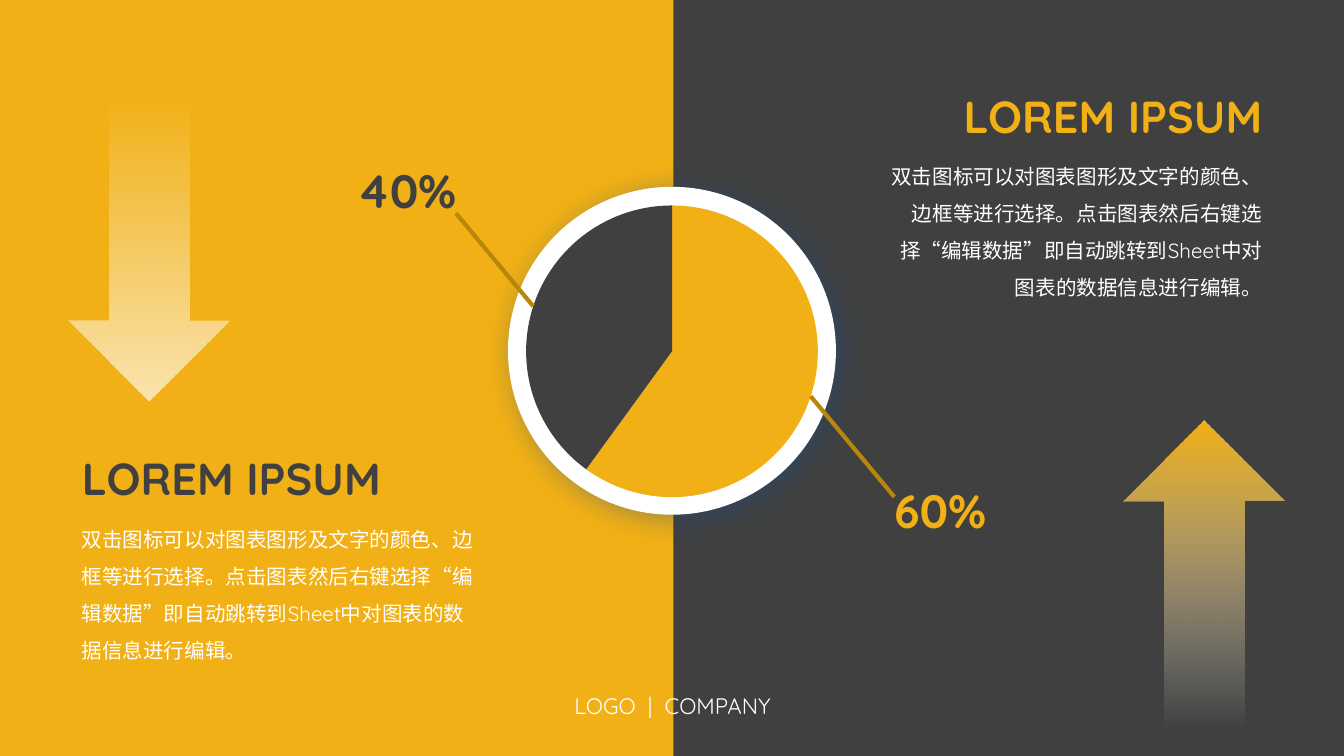
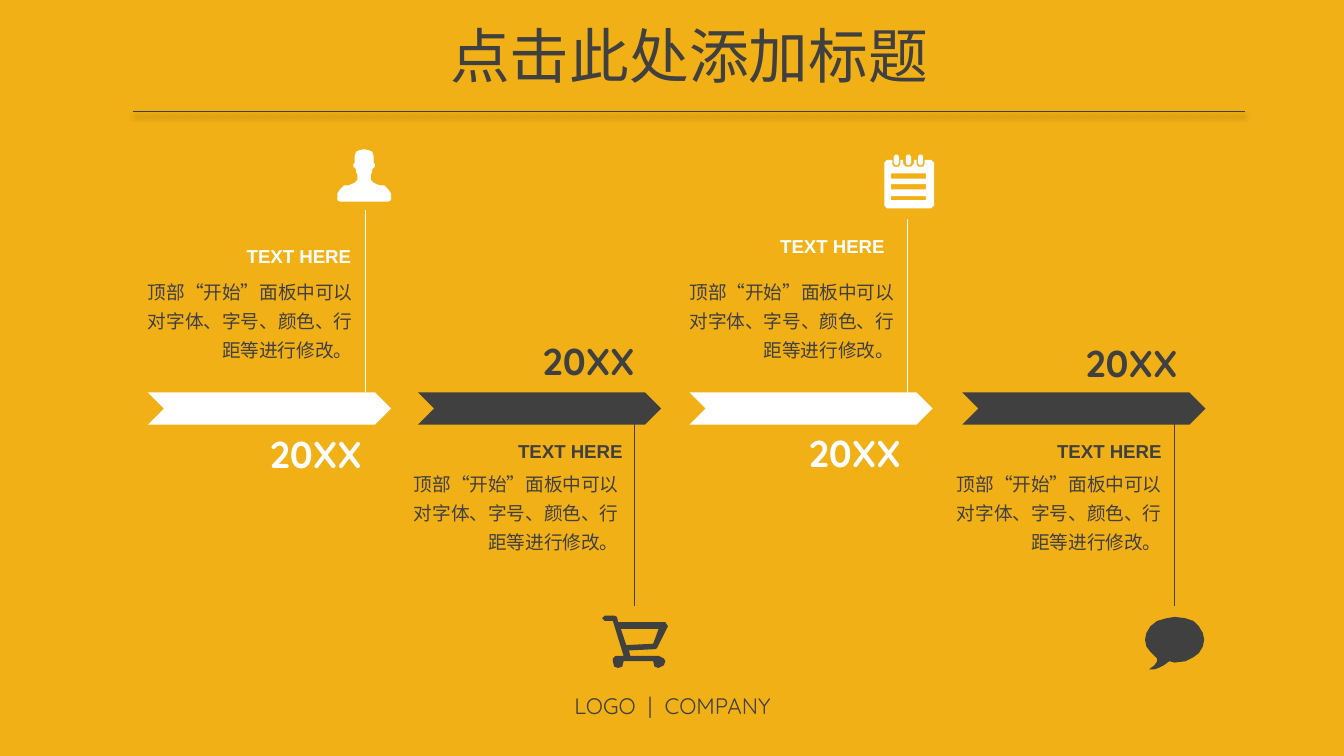
from collections import namedtuple

from pptx import Presentation
from pptx.chart.data import CategoryChartData
from pptx.dml.color import RGBColor
from pptx.enum.chart import XL_CHART_TYPE, XL_LABEL_POSITION
from pptx.enum.shapes import MSO_CONNECTOR, MSO_SHAPE
from pptx.enum.text import MSO_ANCHOR, MSO_AUTO_SIZE, PP_ALIGN
from pptx.oxml import parse_xml
from pptx.oxml.ns import nsdecls
from pptx.util import Inches, Pt

YELLOW, GREY, WHITE = "F1B015", "404040", "FFFFFF"
LEADER = "B8860B"
FONT = "Quicksand"
TITLE_ONLY = 5

CHART_TEXT = "双击图标可以对图表图形及文字的颜色、边框等进行选择。点击图表然后右键选择“编辑数据”即自动跳转到Sheet中对图表的数据信息进行编辑。"
STEP_TEXT = "顶部“开始”面板中可以对字体、字号、颜色、行距等进行修改。"

Shadow = namedtuple("Shadow", "color alpha blur distance angle")
Step = namedtuple(
    "Step", "color left stem_at heading_right heading_top body_at year_at icon icon_at"
)


def rgb(color):
    return RGBColor.from_string(color)


def box(left, top, width, height):
    return [Inches(v) for v in (left, top, width, height)]


def set_effects(shape, shadow=None):
    """Give the shape this shadow, or none; call it after fill and line are set."""
    inner = ""
    if shadow:
        inner = (
            f'<a:outerShdw blurRad="{Pt(shadow.blur)}" dist="{Pt(shadow.distance)}" '
            f'dir="{shadow.angle * 60000}" algn="ctr" rotWithShape="0">'
            f'<a:srgbClr val="{shadow.color}"><a:alpha val="{shadow.alpha * 1000}"/>'
            "</a:srgbClr></a:outerShdw>"
        )
    shape.element.spPr.append(
        parse_xml(f'<a:effectLst {nsdecls("a")}>{inner}</a:effectLst>')
    )


def fill_solid(shape, color, shadow=None):
    shape.fill.solid()
    shape.fill.fore_color.rgb = rgb(color)
    shape.line.fill.background()
    set_effects(shape, shadow)


def add_solid(slide, kind, area, color, shadow=None):
    shape = slide.shapes.add_shape(kind, *box(*area))
    fill_solid(shape, color, shadow)
    return shape


def add_fading_arrow(slide, area, color, alpha, rotation=0):
    """Draw an up arrow that fades from its tip to a clear foot."""
    arrow = slide.shapes.add_shape(MSO_SHAPE.UP_ARROW, *box(*area))
    arrow.rotation = rotation
    arrow.fill.gradient()
    arrow.fill.gradient_angle = 270
    stops = zip(arrow.fill.gradient_stops, (0, 1), (color, WHITE))
    for stop, position, stop_color in stops:
        stop.position = position
        stop.color.rgb = rgb(stop_color)
    for shade, opacity in zip(arrow.element.xpath(".//a:gs/a:srgbClr"), (alpha, 0)):
        shade.append(parse_xml(f'<a:alpha {nsdecls("a")} val="{opacity * 1000}"/>'))
    arrow.line.fill.background()
    set_effects(arrow)


def add_line(slide, start, end, color, width, shadow=None):
    ends = [Inches(v) for v in (*start, *end)]
    line = slide.shapes.add_connector(MSO_CONNECTOR.STRAIGHT, *ends)
    line.line.color.rgb = rgb(color)
    line.line.width = Pt(width)
    set_effects(line, shadow)


def write(shape, text, size, color, align=PP_ALIGN.LEFT, bold=False,
          spacing=1.0, font=FONT, wrap=True):
    frame = shape.text_frame
    frame.text = text
    frame.word_wrap = wrap
    frame.auto_size = MSO_AUTO_SIZE.NONE
    frame.vertical_anchor = MSO_ANCHOR.TOP
    paragraph = frame.paragraphs[0]
    paragraph.alignment = align
    paragraph.line_spacing = spacing
    paragraph.font.name = font
    paragraph.font.size = Pt(size)
    paragraph.font.bold = bold
    paragraph.font.color.rgb = rgb(color)


def add_text(slide, area, text, size, color, **style):
    write(slide.shapes.add_textbox(*box(*area)), text, size, color, **style)


def set_title(slide, area, text, size, color, **style):
    title = slide.shapes.title
    title.left, title.top, title.width, title.height = box(*area)
    write(title, text, size, color, **style)


def add_slide(deck, footer_color):
    slide = deck.slides.add_slide(deck.slide_layouts[TITLE_ONLY])
    slide.background.fill.solid()
    slide.background.fill.fore_color.rgb = rgb(YELLOW)
    add_text(slide, (3.97, 5.14, 2.07, 0.27), "LOGO  |  COMPANY", 12, footer_color,
             align=PP_ALIGN.CENTER, spacing=0.8)
    return slide


def manual_layout(**values):
    items = "".join(f'<c:{name} val="{value}"/>' for name, value in values.items())
    return parse_xml(
        f'<c:layout {nsdecls("c")}><c:manualLayout>{items}</c:manualLayout></c:layout>'
    )


def show_leader_lines(chart):
    for switch in chart.element.xpath(".//c:ser/c:dLbls/c:showLeaderLines"):
        switch.set("val", "1")
        switch.addnext(parse_xml(
            f'<c:leaderLines {nsdecls("c", "a")}><c:spPr><a:ln w="{Pt(2.25)}">'
            f'<a:solidFill><a:srgbClr val="{LEADER}"/></a:solidFill></a:ln></c:spPr>'
            "</c:leaderLines>"
        ))


def add_share_pie(slide):
    data = CategoryChartData(number_format="0%")
    data.categories = ["1", "2"]
    data.add_series("Series 1", (0.6, 0.4))
    chart = slide.shapes.add_chart(
        XL_CHART_TYPE.PIE, *box(2.64, 1.21, 4.72, 2.81), data
    ).chart
    chart.has_title = False
    chart.has_legend = False
    chart.font.name = FONT
    chart.font.size = Pt(18)

    plot_area = chart.element.xpath(".//c:plotArea")[0]
    for layout in plot_area.xpath("./c:layout"):
        plot_area.remove(layout)
    plot_area.insert(0, manual_layout(
        layoutTarget="inner", xMode="edge", yMode="edge", x=0.27, y=0.1, w=0.46, h=0.8
    ))

    points = chart.plots[0].series[0].points
    slices = ((YELLOW, 0.12, 0.26), (GREY, -0.11, -0.24))
    for index, (color, shift_x, shift_y) in enumerate(slices):
        point = points[index]
        point.format.fill.solid()
        point.format.fill.fore_color.rgb = rgb(color)
        point.format.line.fill.background()
        label = point.data_label
        label.font.name = FONT
        label.font.size = Pt(25)
        label.font.bold = True
        label.font.color.rgb = rgb(color)
        label.position = XL_LABEL_POSITION.OUTSIDE_END
        number = chart.element.xpath(f'.//c:dLbl/c:idx[@val="{index}"]')[0]
        number.addnext(manual_layout(x=shift_x, y=shift_y))
    show_leader_lines(chart)


def build_share_slide(deck):
    slide = add_slide(deck, WHITE)
    panel = add_solid(slide, MSO_SHAPE.RECTANGLE, (5.01, 0, 4.99, 5.63), GREY)
    slide.shapes.title.element.addprevious(panel.element)
    add_fading_arrow(slide, (8.36, 3.13, 1.2, 2.29), YELLOW, 100)
    add_fading_arrow(slide, (0.51, 0.69, 1.2, 2.29), WHITE, 66, rotation=180)
    add_solid(slide, MSO_SHAPE.OVAL, (3.78, 1.39, 2.44, 2.44), WHITE,
              Shadow("1A4F88", 40, 15, 3, 40))
    add_share_pie(slide)

    heading = "LOREM IPSUM"
    set_title(slide, (0.51, 3.3, 3.13, 0.5), heading, 24, GREY, bold=True)
    add_text(slide, (0.51, 3.78, 3.13, 1.2), CHART_TEXT, 11, WHITE, spacing=1.5)
    add_text(slide, (6.5, 0.61, 2.99, 0.5), heading, 24, YELLOW, bold=True,
             align=PP_ALIGN.RIGHT)
    add_text(slide, (6.5, 1.08, 2.99, 1.2), CHART_TEXT, 11, WHITE, spacing=1.5,
             align=PP_ALIGN.RIGHT)


def rectangle(left, top, right, bottom):
    return [(left, top), (right, top), (right, bottom), (left, bottom)]


# Icon outlines are lists of contours, in hundredths of an inch.
def person_icon():
    half = [(0, 0), (4, 1), (6, 2), (7, 5), (7, 10), (8, 11), (8, 13), (7, 14),
            (6, 15), (6, 17), (5, 19), (5, 23), (7, 25), (12, 27), (15, 27),
            (18, 30), (20, 33), (20, 38), (18, 39)]
    return [[(20 + x, y) for x, y in half] + [(20 - x, y) for x, y in half[:0:-1]]]


def notepad_icon():
    sheet, rings = [(0, 6), (2, 4)], []
    for x in (9, 18, 27):
        sheet += [(x - 3.5, 4), (x - 3.5, 7), (x - 2, 9),
                  (x + 2, 9), (x + 3.5, 7), (x + 3.5, 4)]
        rings.append([(x - 1, 0), (x + 1, 0), (x + 2, 2), (x + 2, 6),
                      (x + 1, 8), (x - 1, 8), (x - 2, 6), (x - 2, 2)])
    sheet += [(35, 4), (37, 6), (37, 38), (35, 40), (2, 40), (0, 38)]
    rows = [rectangle(5, y, 31, y + 3.5) for y in (14.25, 22.5, 30.75)]
    return [sheet, *rings, *rows]


def cart_icon():
    basket = [(14, 10), (18, 22), (38, 21), (42, 10)]
    frame = [(2, 0), (9, 0), (11, 1), (12, 5), (47, 5), (49, 8), (41, 24), (40, 25),
             (20, 26), (21, 30), (42, 30), (46, 32), (47, 34), (46, 37), (42, 39),
             (39, 38), (38, 34), (16, 34), (15, 38), (12, 39), (9, 38), (8, 34),
             (8, 32), (10, 30), (16, 30), (8, 4), (2, 4), (0, 2)]
    return [basket, frame]


def bubble_icon():
    return [[(22, 0), (30, 1), (36, 3), (40, 7), (43, 12), (44, 17), (43, 22),
             (40, 27), (36, 30), (30, 33), (22, 34), (18, 33), (14, 36), (10, 38),
             (7, 39), (3, 39), (7, 36), (9, 33), (9, 31), (8, 30), (4, 26), (1, 22),
             (0, 17), (1, 12), (4, 7), (9, 3), (16, 1)]]


def add_icon(slide, contours, at, color):
    builder = slide.shapes.build_freeform(*contours[0][0], scale=Inches(0.01))
    for index, contour in enumerate(contours):
        if index:
            builder.move_to(*contour[0])
        builder.add_line_segments(contour[1:], close=True)
    fill_solid(builder.convert_to_shape(*[Inches(v) for v in at]), color)


def add_step(slide, step):
    add_solid(slide, MSO_SHAPE.CHEVRON, (step.left, 2.92, 1.81, 0.24), step.color)
    stem_x, stem_top = step.stem_at
    add_line(slide, step.stem_at, (stem_x, stem_top + 1.36), step.color, 0.75)
    add_icon(slide, step.icon(), step.icon_at, step.color)
    add_text(slide, (step.heading_right - 1.62, step.heading_top, 1.62, 0.27),
             "TEXT HERE", 10, step.color, bold=True, font="Arial", align=PP_ALIGN.RIGHT)
    add_text(slide, (*step.body_at, 1.79, 0.75), STEP_TEXT, 10, GREY,
             spacing=1.3, align=PP_ALIGN.RIGHT)
    add_text(slide, (*step.year_at, 0.9, 0.44), "20XX", 20, step.color, bold=True,
             wrap=False)


def build_timeline_slide(deck):
    slide = add_slide(deck, GREY)
    set_title(slide, (1.61, 0.09, 7.04, 0.64), "点击此处添加标题", 32, GREY,
              align=PP_ALIGN.CENTER)
    add_line(slide, (0.99, 0.83), (9.26, 0.83), GREY, 1,
             Shadow("000000", 38, 3.1, 1.6, 90))
    steps = (
        Step(WHITE, 1.1, (2.72, 1.56), 2.71, 1.77, (0.93, 1.99), (1.91, 3.16),
             person_icon, (2.51, 1.11)),
        Step(GREY, 3.11, (4.72, 3.15), 4.73, 3.22, (2.91, 3.42), (3.94, 2.47),
             cart_icon, (4.48, 4.58)),
        Step(WHITE, 5.13, (6.75, 1.63), 6.68, 1.7, (4.96, 1.99), (5.92, 3.15),
             notepad_icon, (6.58, 1.15)),
        Step(GREY, 7.16, (8.74, 3.15), 8.74, 3.22, (6.95, 3.42), (7.98, 2.48),
             bubble_icon, (8.52, 4.59)),
    )
    for step in steps:
        add_step(slide, step)


def main():
    deck = Presentation()
    deck.slide_width = Inches(10)
    deck.slide_height = deck.slide_width * 9 // 16
    build_share_slide(deck)
    build_timeline_slide(deck)
    deck.save("out.pptx")


if __name__ == "__main__":
    main()
